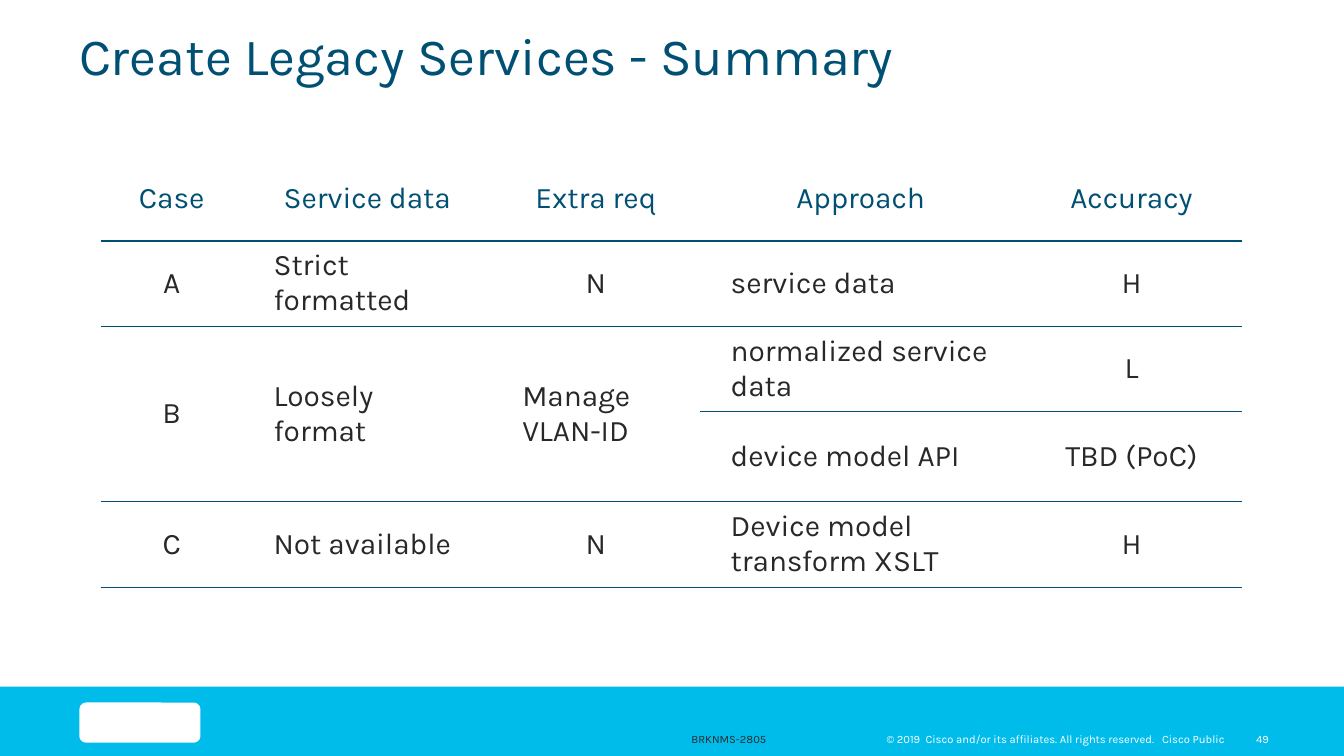
"""Build the legacy services summary slide."""
from lxml import etree
from pptx import Presentation
from pptx.dml.color import RGBColor
from pptx.enum.shapes import MSO_SHAPE
from pptx.enum.text import MSO_ANCHOR, MSO_AUTO_SIZE, PP_ALIGN
from pptx.oxml.ns import qn
from pptx.util import Cm, Pt

RECT, ROUNDED = MSO_SHAPE.RECTANGLE, MSO_SHAPE.ROUNDED_RECTANGLE
TOP, MIDDLE, BOTTOM = MSO_ANCHOR.TOP, MSO_ANCHOR.MIDDLE, MSO_ANCHOR.BOTTOM
LEFT, CENTER, RIGHT = PP_ALIGN.LEFT, PP_ALIGN.CENTER, PP_ALIGN.RIGHT

NAVY = RGBColor(0x00, 0x50, 0x73)
SKY = RGBColor(0x00, 0xBC, 0xEB)
INK = RGBColor(0x28, 0x28, 0x28)
WHITE = RGBColor(0xFF, 0xFF, 0xFF)

FONT = "Karla"
NO_STYLE = "{2D5ABB26-0587-4C30-8999-92F81FD0307C}"

COLUMNS = (2.69, 4.7, 3.94, 6.07, 4.17)
ROWS = (1.6, 1.6, 1.6, 1.7, 1.6)
SERVICES = (
    ("Case", "Service data", "Extra req", "Approach", "Accuracy"),
    ("A", "Strict formatted", "N", "service data", "H"),
    ("B", "Loosely format", "Manage VLAN-ID", "normalized service data", "L"),
    ("", "", "", "device model API", "TBD (PoC)"),
    ("C", "Not available", "N", "Device model transform XSLT", "H"),
)
LEFT_ALIGNED = {"Manage VLAN-ID"} | {
    text for row in SERVICES[1:] for text in (row[1], row[3])
}


class SlideBuilder:
    def __init__(self, prs):
        self.slide = prs.slides.add_slide(prs.slide_layouts[5])

    def format_text(self, tf, text, size, color, align):
        tf.text = text
        p = tf.paragraphs[0]
        p.alignment = align
        for r in p.runs:
            r.font.name = FONT
            r.font.size = Pt(size)
            r.font.color.rgb = color
        return p

    def title(self, text, left, top, width, height):
        sp = self.slide.shapes.title
        sp.left, sp.top, sp.width, sp.height = map(Cm, (left, top, width, height))
        tf = sp.text_frame
        tf.auto_size = MSO_AUTO_SIZE.NONE
        tf.vertical_anchor = BOTTOM
        p = self.format_text(tf, text, 28, NAVY, LEFT)
        p.line_spacing = 0.8

    def shape(self, kind, left, top, width, height, color):
        sp = self.slide.shapes.add_shape(kind, *map(Cm, (left, top, width, height)))
        sp.shadow.inherit = False
        sp.fill.solid()
        sp.fill.fore_color.rgb = color
        sp.line.fill.background()

    def footer_text(self, text, left, top, width, height, color, anchor):
        sp = self.slide.shapes.add_textbox(*map(Cm, (left, top, width, height)))
        tf = sp.text_frame
        tf.word_wrap = True
        tf.vertical_anchor = anchor
        tf.margin_left = tf.margin_right = Cm(0.18)
        tf.margin_top = tf.margin_bottom = Cm(0.08)
        self.format_text(tf, text, 6, color, RIGHT)

    def bottom_border(self, cell, width):
        tc_pr = cell._tc.get_or_add_tcPr()
        line = etree.SubElement(tc_pr, qn("a:lnB"), w=str(Pt(width)))
        fill = etree.SubElement(line, qn("a:solidFill"))
        etree.SubElement(fill, qn("a:srgbClr"), val=str(NAVY))

    def table(self, rows, left, top):
        frame = self.slide.shapes.add_table(
            len(ROWS), len(COLUMNS), Cm(left), Cm(top), Cm(sum(COLUMNS)), Cm(sum(ROWS))
        )
        table = frame.table
        table.horz_banding = False
        table._tbl.tblPr.find(qn("a:tableStyleId")).text = NO_STYLE
        for column, width in zip(table.columns, COLUMNS):
            column.width = Cm(width)
        for row, height in zip(table.rows, ROWS):
            row.height = Cm(height)
        for i, row in enumerate(rows):
            for j, text in enumerate(row):
                cell = table.cell(i, j)
                cell.vertical_anchor = MIDDLE
                cell.margin_left = cell.margin_right = Cm(0.58)
                cell.margin_top = cell.margin_bottom = Cm(0.13)
                align = LEFT if text in LEFT_ALIGNED else CENTER
                self.format_text(cell.text_frame, text, 16, INK if i else NAVY, align)
                self.bottom_border(cell, 0.5 if i else 1.5)
                cell.fill.background()
        for j in range(3):
            table.cell(2, j).merge(table.cell(3, j))


def main():
    prs = Presentation()
    prs.slide_width, prs.slide_height = Cm(25.4), Cm(14.29)
    s = SlideBuilder(prs)
    s.shape(RECT, 0, 12.98, 25.4, 1.31, SKY)
    s.shape(ROUNDED, 1.5, 13.28, 2.29, 0.76, WHITE)
    s.footer_text(
        "© 2019  Cisco and/or its affiliates. All rights reserved.   Cisco Public",
        16.26, 13.74, 7.06, 0.43, WHITE, BOTTOM,
    )
    s.footer_text("BRKNMS-2805", 10.06, 13.74, 4.6, 0.43, INK, BOTTOM)
    s.footer_text("49", 23.17, 13.74, 0.99, 0.43, WHITE, BOTTOM)
    s.title("Create Legacy Services - Summary", 1.24, 0.53, 22.96, 1.22)
    s.table(SERVICES, 1.9, 2.95)
    prs.save("out.pptx")


if __name__ == "__main__":
    main()
